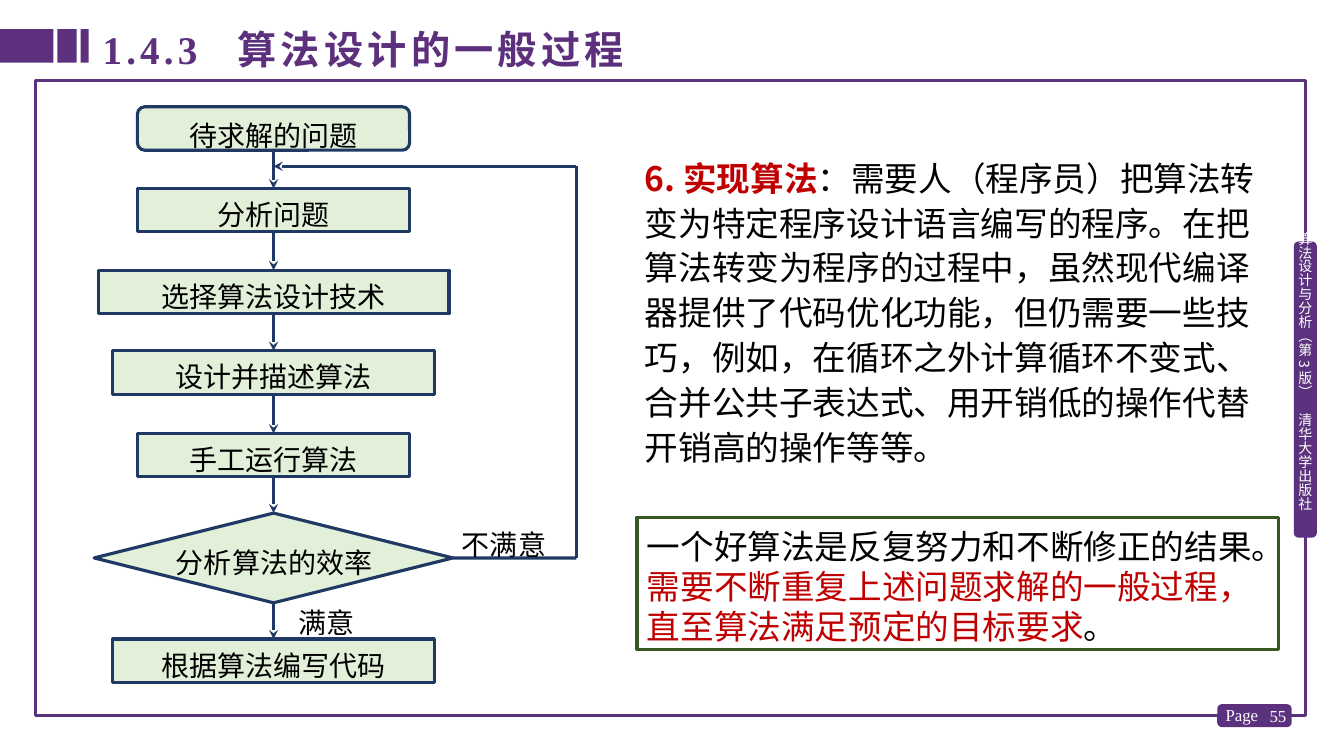
from pptx import Presentation
from pptx import util as u
from pptx.dml.color import RGBColor
from pptx.enum import shapes, text
from pptx.oxml.ns import qn
from lxml import etree

Pt = u.Pt
SHAPE = shapes.MSO_SHAPE
CENTER, LEFT, RIGHT = text.PP_ALIGN.CENTER, text.PP_ALIGN.LEFT, text.PP_ALIGN.RIGHT

COLORS = {
    "purple": "5A327D", "violet": "5C307D", "navy": "203864", "mint": "E2F0D9",
    "green": "385723", "red": "C00000", "black": "000000", "white": "FFFFFF",
}
SANS, SERIF = "Noto Sans CJK SC", "Times New Roman"

TITLE = "1.4.3\t算法设计的一般过程"
SIDEBAR = "算法设计与分析（第 3 版）　清华大学出版社"
BODY = [
    ("6. 实现算法", "red", True),
    ("：需要人（程序员）把算法转变为特定程序设计语言编写的程序。在把算法转变为程序的过程中，"
     "虽然现代编译器提供了代码优化功能，但仍需要一些技巧，例如，在循环之外计算循环不变式、"
     "合并公共子表达式、用开销低的操作代替开销高的操作等等。", "black", False),
]
CALLOUT = [
    ("一个好算法是反复努力和不断修正的结果。", "black", False),
    ("需要不断重复上述问题求解的一般过程，直至算法满足预定的目标要求", "red", False),
    ("。", "black", False),
]
STEPS = [
    ("待求解的问题", SHAPE.ROUNDED_RECTANGLE, 76.3, 194.4, 31),
    ("分析问题", SHAPE.RECTANGLE, 134.6, 194.4, 31),
    ("选择算法设计技术", SHAPE.RECTANGLE, 193, 250.6, 31),
    ("设计并描述算法", SHAPE.RECTANGLE, 250.6, 229.7, 31),
    ("手工运行算法", SHAPE.RECTANGLE, 309.6, 194.4, 31),
    ("", SHAPE.DIAMOND, 366.5, 256.3, 64.1),
    ("根据算法编写代码", SHAPE.RECTANGLE, 456.5, 229.7, 31),
]
LABELS = [
    ("分析算法的效率", 104.4, 383, 182.9),
    ("不满意", 319, 370.1, 82.1),
    ("满意", 205.9, 426.2, 55.4),
]
TITLE_BARS = [(0, 38.2), (41, 13.7), (57.6, 5.8)]
AXIS, LOOP_X, LOOP_TOP, LOOP_BOTTOM = 195.4, 411.8, 118.8, 398.6

prs = Presentation()
prs.slide_width, prs.slide_height = Pt(960), Pt(540)
s = prs.slides.add_slide(prs.slide_layouts[6])


def rgb(name):
    return RGBColor.from_string(COLORS[name])


def add_box(kind, left, top, width, height, fill=None, line=None, weight=2.25):
    sp = s.shapes.add_shape(kind, Pt(left), Pt(top), Pt(width), Pt(height))
    sp.shadow.inherit = False
    if fill:
        sp.fill.solid()
        sp.fill.fore_color.rgb = rgb(fill)
    else:
        sp.fill.background()
    if line:
        sp.line.color.rgb = rgb(line)
        sp.line.width = Pt(weight)
    else:
        sp.line.fill.background()
    return sp


def write(sp, runs, size, font=SANS, align=LEFT, spacing=None,
          margins=(7.2, 3.6, 7.2, 3.6), anchor=text.MSO_ANCHOR.TOP):
    tf = sp.text_frame
    tf.word_wrap = True
    tf.vertical_anchor = anchor
    tf.margin_left, tf.margin_top, tf.margin_right, tf.margin_bottom = map(Pt, margins)
    p = tf.paragraphs[0]
    p.alignment = align
    if spacing:
        p.line_spacing = Pt(spacing)
    for words, color, bold in runs:
        r = p.add_run()
        r.text = words
        r.font.name, r.font.size, r.font.bold = font, Pt(size), bold
        r.font.color.rgb = rgb(color)
        etree.SubElement(r._r.get_or_add_rPr(), qn("a:ea")).set("typeface", SANS)
    return p


def add_text(left, top, width, height, runs, size, **style):
    sp = s.shapes.add_textbox(Pt(left), Pt(top), Pt(width), Pt(height))
    return sp, write(sp, runs, size, **style)


def add_line(x1, y1, x2, y2, arrow=False):
    c = s.shapes.add_connector(shapes.MSO_CONNECTOR.STRAIGHT, Pt(x1), Pt(y1), Pt(x2), Pt(y2))
    c.line.color.rgb = rgb("navy")
    c.line.width = Pt(2.25)
    if arrow:
        etree.SubElement(c.line._get_or_add_ln(), qn("a:tailEnd")).set("type", "stealth")
    etree.SubElement(c._element.spPr, qn("a:effectLst"))
    return c


add_box(SHAPE.RECTANGLE, 25.2, 57.6, 907.2, 453.6, line="purple")
add_box(SHAPE.ROUNDED_RECTANGLE, 870.5, 504, 51.1, 14.4, "purple", "violet", 2)
add_text(896.4, 496.8, 29.5, 28.8, [("55", "white", False)], 12, font=SERIF,
         align=RIGHT, anchor=text.MSO_ANCHOR.MIDDLE)
add_text(868.3, 499.7, 40, 22.3, [("Page", "white", False)], 12, font=SERIF)
for left, width in TITLE_BARS:
    add_box(SHAPE.RECTANGLE, left, 20.9, width, 23.8, "violet")
add_box(SHAPE.ROUNDED_RECTANGLE, 925.2, 173.5, 14.4, 209.5, "purple", "violet", 2)
sidebar, _ = add_text(925.9, 165.6, 12.2, 226.1, [(SIDEBAR, "white", False)], 10,
                      spacing=12, margins=(0, 0, 0, 0))
sidebar.text_frame._txBody.bodyPr.set("vert", "eaVert")

_, p = add_text(66.2, 12.2, 622.8, 41, [(TITLE, "violet", True)], 28, font=SERIF, spacing=36)
tabs = etree.SubElement(p._p.get_or_add_pPr(), qn("a:tabLst"))
etree.SubElement(tabs, qn("a:tab"), pos=str(Pt(96.5)), algn="l")
p.runs[0]._r.rPr.set("spc", "300")

add_text(453.6, 103.7, 460.1, 233.3, BODY, 24, spacing=32, margins=(7.2, 5.8, 7.2, 3.6))
callout = add_box(SHAPE.RECTANGLE, 455, 369.4, 458.6, 94.3, line="green")
write(callout, CALLOUT, 24, spacing=28.6, margins=(7.2, 6.4, 7.2, 0))

label_style = dict(align=CENTER, spacing=24, margins=(0, 6.5, 0, 0))
steps = []
for words, kind, top, width, height in STEPS:
    sp = add_box(kind, AXIS - width / 2, top, width, height, "mint", "navy")
    if words:
        write(sp, [(words, "black", False)], 20, **label_style)
    steps.append(sp)
for upper, lower in zip(steps, steps[1:]):
    c = add_line(AXIS, 0, AXIS, 0, arrow=True)
    c.begin_connect(upper, 2)
    c.end_connect(lower, 0)

add_line(AXIS, LOOP_BOTTOM, LOOP_X, LOOP_BOTTOM).begin_connect(steps[5], 3)
add_line(LOOP_X, LOOP_BOTTOM, LOOP_X, LOOP_TOP)
add_line(LOOP_X, LOOP_TOP, AXIS, LOOP_TOP, arrow=True)
for words, left, top, width in LABELS:
    add_text(left, top, width, 24.5, [(words, "black", False)], 20, **label_style)

prs.save("out.pptx")
